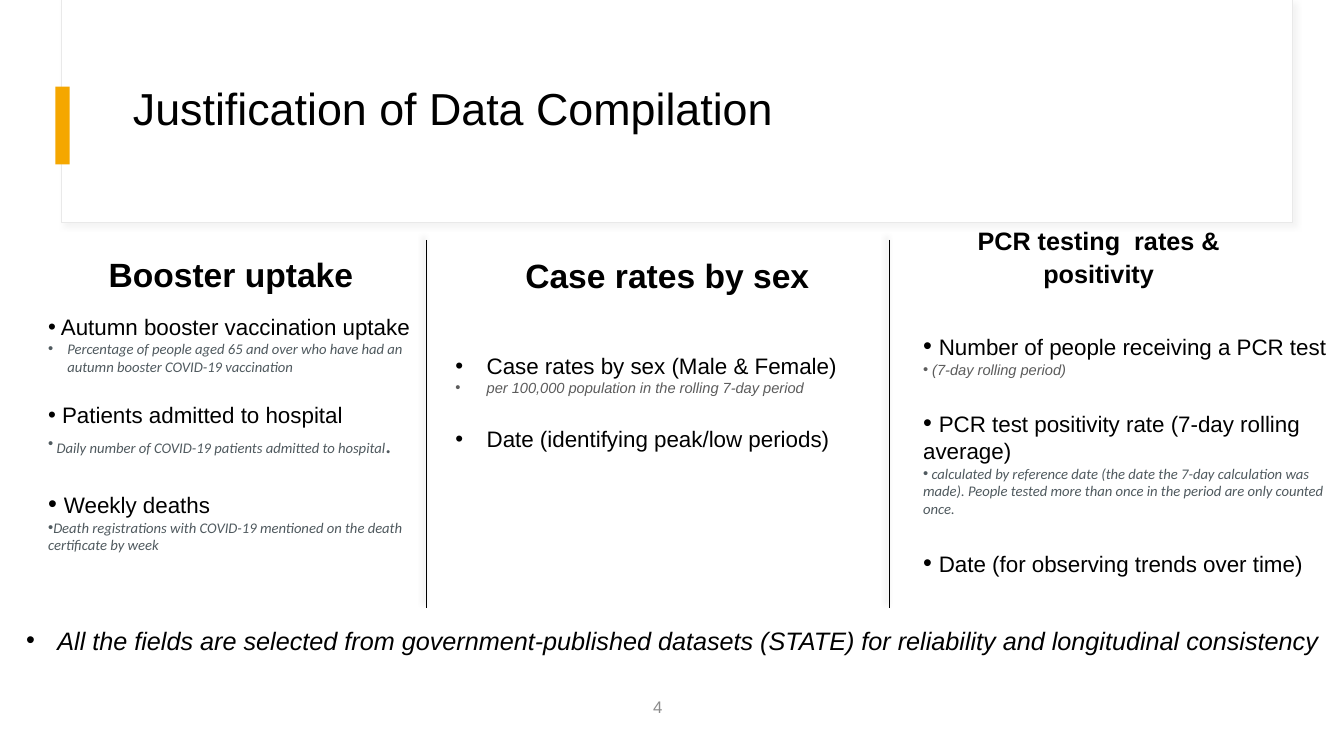
from lxml import etree
from pptx import Presentation
from pptx.dml.color import RGBColor
from pptx.enum.shapes import MSO_CONNECTOR, MSO_SHAPE
from pptx.enum.text import MSO_ANCHOR, PP_ALIGN
from pptx.oxml.ns import qn
from pptx.util import Inches, Pt

RECT, STRAIGHT = MSO_SHAPE.RECTANGLE, MSO_CONNECTOR.STRAIGHT
TOP, MIDDLE, BOTTOM = MSO_ANCHOR.TOP, MSO_ANCHOR.MIDDLE, MSO_ANCHOR.BOTTOM
LEFT, CENTER, RIGHT = PP_ALIGN.LEFT, PP_ALIGN.CENTER, PP_ALIGN.RIGHT

BLACK = RGBColor(0x00, 0x00, 0x00)
WHITE = RGBColor(0xFF, 0xFF, 0xFF)
AMBER = RGBColor(0xF5, 0xA7, 0x00)
PALE = RGBColor(0xE9, 0xE9, 0xE9)
SHADE = RGBColor(0xD9, 0xD9, 0xD9)
SLATE = RGBColor(0x50, 0x5A, 0x5F)
GREY = RGBColor(0x5C, 0x5C, 0x5C)
NUMBER_GREY = RGBColor(0x8C, 0x8C, 0x8C)

# Run formats
ITEM = dict(size=16)
LARGE = dict(size=18)
NOTE = dict(size=10.5, font="Calibri", color=SLATE, italic=True)
STOP = dict(NOTE, size=18)
PLAIN_NOTE = dict(size=10.5, color=GREY, italic=True)

prs = Presentation()
prs.slide_width, prs.slide_height = Inches(13.333), Inches(7.5)


def place(box):
    """Turn shares of the slide, in percent, into lengths."""
    x, y, w, h = box
    sw, sh = prs.slide_width / 100, prs.slide_height / 100
    return int(x * sw), int(y * sh), int(w * sw), int(h * sh)


def add_shadow(sp, color, alpha, angle):
    effects = etree.SubElement(sp._element.spPr, qn("a:effectLst"))
    shadow = etree.SubElement(effects, qn("a:outerShdw"), blurRad=str(Pt(4)),
                              dist=str(Pt(3)), dir=str(angle * 60000))
    clr = etree.SubElement(shadow, qn("a:srgbClr"), val=str(color))
    etree.SubElement(clr, qn("a:alpha"), val=str(alpha * 1000))


def add_bullet(p, indent):
    pPr = p._p.get_or_add_pPr()
    pPr.set("marL", str(Inches(indent)))
    pPr.set("indent", str(-Inches(indent)))
    etree.SubElement(pPr, qn("a:buFont"), typeface="Arial")
    etree.SubElement(pPr, qn("a:buChar"), char="•")


def write(p, text, size=16, font="Arial", color=BLACK, bold=False, italic=False):
    r = p.add_run()
    r.text = text
    f = r.font
    f.size, f.name, f.bold, f.italic = Pt(size), font, bold, italic
    f.color.rgb = color


def text_frame(slide, box, anchor=MIDDLE):
    tf = slide.shapes.add_textbox(*place(box)).text_frame
    tf.word_wrap = True
    tf.vertical_anchor = anchor
    return tf


def add_text(slide, box, text, anchor=MIDDLE, align=LEFT, spacing=1.0,
             bullet=None, **fmt):
    p = text_frame(slide, box, anchor).paragraphs[0]
    p.alignment, p.line_spacing = align, spacing
    if bullet is not None:
        add_bullet(p, bullet)
    write(p, text, **fmt)


def add_list(slide, box, items):
    """Each item is its gap before, its indent and its runs."""
    tf = text_frame(slide, box)
    for i, (gap, indent, runs) in enumerate(items):
        p = tf.paragraphs[0] if i == 0 else tf.add_paragraph()
        p.space_before = Pt(gap)
        add_bullet(p, indent)
        for text, fmt in runs:
            write(p, text, **fmt)


def header(slide, box):
    x, y, w, h = box
    sp = slide.shapes.add_shape(RECT, *place(box))
    sp.fill.solid()
    sp.fill.fore_color.rgb = WHITE
    sp.line.color.rgb, sp.line.width = PALE, Pt(0.75)
    add_shadow(sp, SHADE, 30, 45)
    bar = slide.shapes.add_shape(RECT, *place((x - 0.45, y + 11.47, 1.05, 10.27)))
    bar.shadow.inherit = False
    bar.fill.solid()
    bar.fill.fore_color.rgb = AMBER
    bar.line.fill.background()
    add_text(slide, (x + 4.57, y + 8, 71.25, 13.33),
             "Justification of Data Compilation", spacing=0.9, size=32)


def column(slide, box, heading, size, head_at, list_at, items):
    """Heading ends at head_at; list_at is the list's box inside the column."""
    x, y, w, h = box
    dx, bottom = head_at
    add_text(slide, (x + dx, y + bottom - 7, 27, 7), heading, anchor=BOTTOM,
             align=CENTER, spacing=1.1, size=size, bold=True)
    lx, ly, lw, lh = list_at
    add_list(slide, (x + lx, y + ly, lw, lh), items)


def divider(slide, x, y, h):
    left, top, _, height = place((x, y, 0, h))
    line = slide.shapes.add_connector(STRAIGHT, left, top, left, top + height)
    line.line.color.rgb, line.line.width = BLACK, Pt(0.5)
    add_shadow(line, BLACK, 40, 225)


def footer(slide, box):
    x, y, w, h = box
    add_text(slide, (x, y, w, 5.33),
             "All the fields are selected from government-published datasets "
             "(STATE) for reliability and longitudinal consistency",
             anchor=TOP, align=CENTER, bullet=0.31, size=18, italic=True)
    add_text(slide, (x + 26.55, y + 8.8, 22.5, 5.33), "4", align=RIGHT,
             size=12, color=NUMBER_GREY)


BOOSTER = [
    (0, 0, [(" Autumn booster vaccination uptake", ITEM)]),
    (0, 0.19, [("Percentage of people aged 65 and over who have had an autumn "
                "booster COVID-19 vaccination", NOTE)]),
    (18.5, 0, [(" Patients admitted to hospital", ITEM)]),
    (0, 0, [(" Daily number of COVID-19 patients admitted to hospital", NOTE),
            (".", STOP)]),
    (21.5, 0, [(" ", LARGE), ("Weekly deaths", ITEM)]),
    (0, 0, [("Death registrations with COVID-19 mentioned on the death "
             "certificate by week", NOTE)]),
]
CASES = [
    (0, 0.31, [("Case rates by sex (Male & Female)", ITEM)]),
    (0, 0.31, [("per 100,000 population in the rolling 7-day period", PLAIN_NOTE)]),
    (20.7, 0.31, [("Date (identifying peak/low periods)", ITEM)]),
]
TESTING = [
    (0, 0, [(" ", LARGE), ("Number of people receiving a PCR test", ITEM)]),
    (0, 0, [(" (7-day rolling period)", PLAIN_NOTE)]),
    (20.7, 0, [(" ", LARGE),
               ("PCR test positivity rate (7-day rolling average)", ITEM)]),
    (0, 0, [(" calculated by reference date (the date the 7-day calculation was "
             "made). People tested more than once in the period are only "
             "counted once.", NOTE)]),
    (21.5, 0, [(" ", LARGE), ("Date (for observing trends over time)", ITEM)]),
]
COLUMNS = [
    ("Booster uptake", 24, (3.68, 7.87), (2.85, 8.8, 28.88, 33.6), BOOSTER),
    ("Case rates by sex", 24, (4.42, 8), (1.42, 14, 33.75, 14.93), CASES),
    ("PCR testing  rates & positivity", 18, (2.1, 7.07),
     (1.8, 11.07, 31.95, 34.53), TESTING),
]
EDGES = [0, 31.73, 66.15, 100]
COLUMN_TOP, COLUMN_HEIGHT = 31.73, 48.67


def main():
    slide = prs.slides.add_slide(prs.slide_layouts[6])
    header(slide, (4.58, 0, 91.58, 29.47))
    for left, right, parts in zip(EDGES, EDGES[1:], COLUMNS):
        column(slide, (left, COLUMN_TOP, right - left, COLUMN_HEIGHT), *parts)
    for x in EDGES[1:-1]:
        divider(slide, x, COLUMN_TOP, COLUMN_HEIGHT)
    footer(slide, (0.98, 82, 98.1, 18))
    prs.save("out.pptx")


if __name__ == "__main__":
    main()
